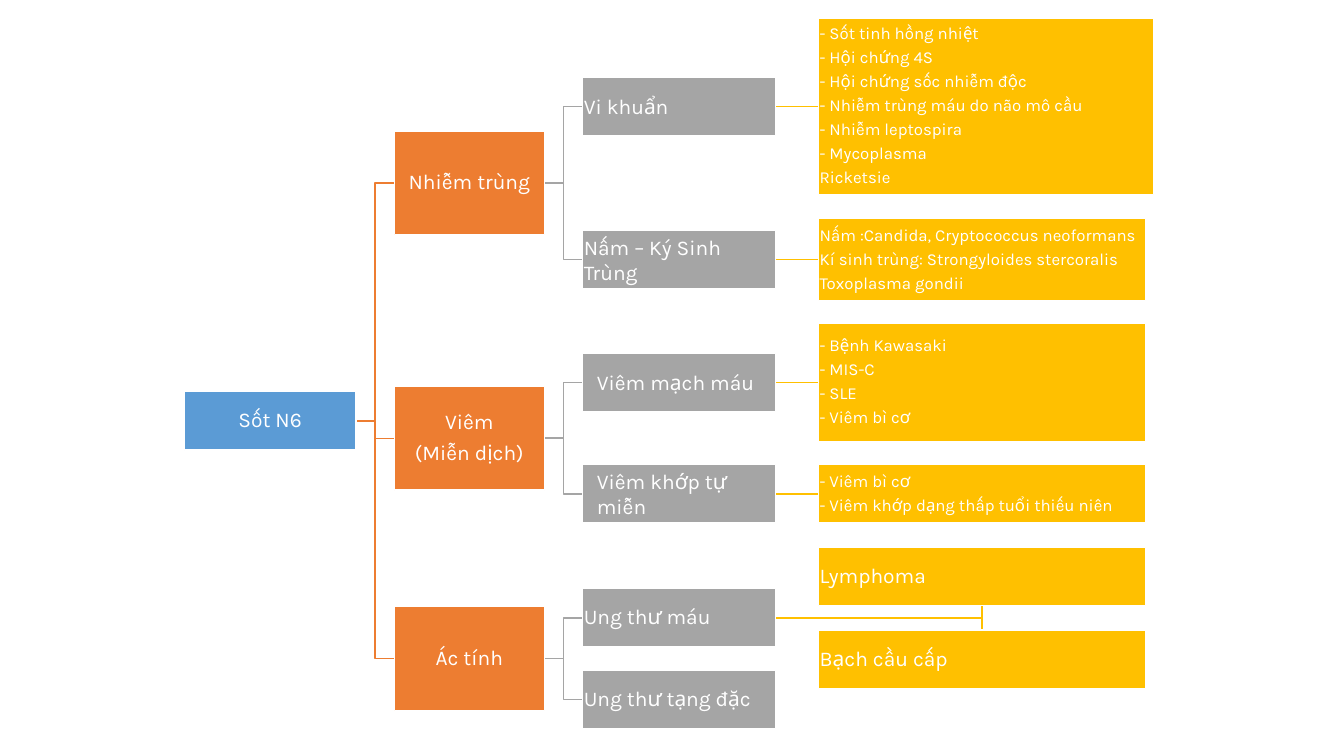
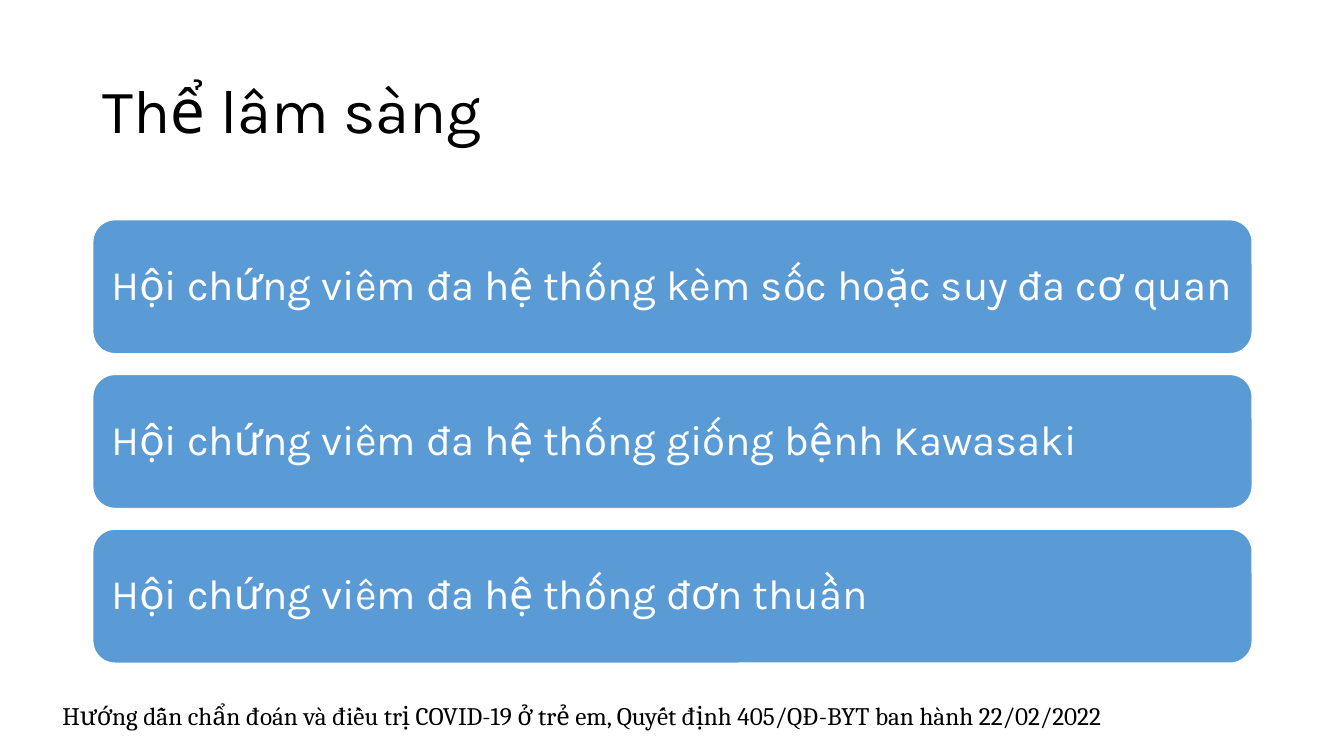
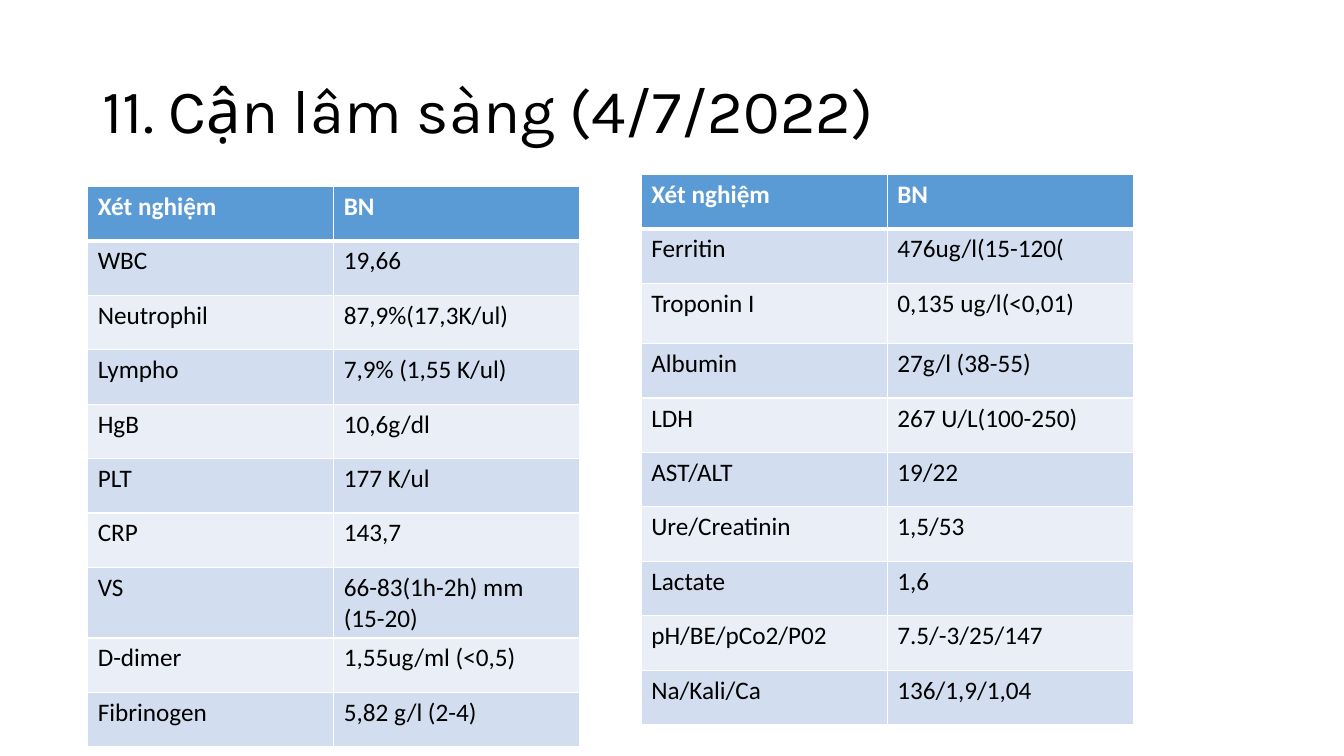
from dataclasses import dataclass, field

from lxml.etree import SubElement
from pptx import Presentation
from pptx.dml.color import RGBColor
from pptx.enum.shapes import MSO_CONNECTOR, MSO_SHAPE
from pptx.enum.text import MSO_ANCHOR, PP_ALIGN
from pptx.oxml import parse_xml
from pptx.oxml.ns import nsdecls, qn
from pptx.util import Emu, Pt

EMU_PER_PX = 9144  # 100 px to the inch


@dataclass(frozen=True)
class Theme:
    white: str = "FFFFFF"
    black: str = "000000"
    blue: str = "5B9BD5"
    levels: tuple = ("5B9BD5", "ED7D31", "A5A5A5", "FFC000")
    bands: tuple = ("D2DEEF", "EAEFF7")
    heading_font: str = "Karla"
    table_font: str = "Calibri"
    source_font: str = "Cambria"
    title_size: int = 44
    card_size: int = 30
    body_size: int = 18
    node_size: int = 15
    detail_size: int = 12


THEME = Theme()

# Tree columns: left edge, width and usual height of each level
COLUMNS = ((183, 170, 58), (391, 149, 103), (578, 191, 58), (812, 324, 58))


@dataclass
class Node:
    lines: list
    children: list = field(default_factory=list)
    top: int = 0  # set on nodes without children
    height: int = 0
    width: int = 0
    indent: int = 0
    size: int = THEME.node_size
    tight: bool = True
    stacked: bool = False  # children one above the other, joined by one stem


def detail(top, height, *lines, **options):
    return Node(list(lines), top=top, height=height, size=THEME.detail_size, **options)


FEVER_TREE = Node(["Sốt N6"], [
    Node(["Nhiễm trùng"], [
        Node(["Vi khuẩn"], [
            detail(18, 175, "- Sốt tinh hồng nhiệt", "- Hội chứng 4S",
                   "- Hội chứng sốc nhiễm độc", "- Nhiễm trùng máu do não mô cầu",
                   "- Nhiễm leptospira", "- Mycoplasma", "Ricketsie", width=332),
        ], tight=False),
        Node(["Nấm – Ký Sinh Trùng"], [
            detail(217, 81, "Nấm :Candida, Cryptococcus neoformans",
                   "Kí sinh trùng: Strongyloides stercoralis", "Toxoplasma gondii"),
        ], tight=False),
    ]),
    Node(["Viêm", "(Miễn dịch)"], [
        Node(["Viêm mạch máu"], [
            detail(321, 117, "- Bệnh Kawasaki", "- MIS-C", "- SLE", "- Viêm bì cơ"),
        ], indent=13, tight=False),
        Node(["Viêm khớp tự miễn"], [
            detail(461, 58, "- Viêm bì cơ", "- Viêm khớp dạng thấp tuổi thiếu niên"),
        ], indent=13, tight=False),
    ]),
    Node(["Ác tính"], [
        Node(["Ung thư máu"], [
            Node(["Lymphoma"], top=543),
            Node(["Bạch cầu cấp"], top=625),
        ], stacked=True),
        Node(["Ung thư tạng đặc"], top=665),
    ]),
])

CLINICAL_FORMS = (
    "Hội chứng viêm đa hệ thống kèm sốc hoặc suy đa cơ quan",
    "Hội chứng viêm đa hệ thống giống bệnh Kawasaki",
    "Hội chứng viêm đa hệ thống đơn thuần",
)
GUIDELINE = ("Hướng dẫn chẩn đoán và điều trị COVID-19 ở trẻ em, "
             "Quyết định 405/QĐ-BYT ban hành 22/02/2022")

LAB_HEADER = ("Xét nghiệm", "BN")
BLOOD_TESTS = (
    LAB_HEADER,
    ("WBC", "19,66"),
    ("Neutrophil", "87,9%(17,3K/ul)"),
    ("Lympho", "7,9% (1,55 K/ul)"),
    ("HgB", "10,6g/dl"),
    ("PLT", "177 K/ul"),
    ("CRP", "143,7"),
    ("VS", "66-83(1h-2h) mm (15-20)"),
    ("D-dimer", "1,55ug/ml (<0,5)"),
    ("Fibrinogen", "5,82 g/l (2-4)"),
)
CHEMISTRY_TESTS = (
    LAB_HEADER,
    ("Ferritin", "476ug/l(15-120("),
    ("Troponin I", "0,135 ug/l(<0,01)"),
    ("Albumin", "27g/l (38-55)"),
    ("LDH", "267 U/L(100-250)"),
    ("AST/ALT", "19/22"),
    ("Ure/Creatinin", "1,5/53"),
    ("Lactate", "1,6"),
    ("pH/BE/pCo2/P02", "7.5/-3/25/147"),
    ("Na/Kali/Ca", "136/1,9/1,04"),
)


def px(length):
    return Emu(round(length * EMU_PER_PX))


def rgb(color):
    return RGBColor.from_string(color)


# Text
def write_text(text_frame, lines, *, size, color=THEME.black, font=THEME.heading_font,
               bold=False, align=PP_ALIGN.LEFT, line_spacing=1.0, space_after=0.0, indent=0):
    """Write one paragraph a line; space_after is a share of the type size."""
    for index, line in enumerate(lines):
        paragraph = text_frame.add_paragraph() if index else text_frame.paragraphs[0]
        paragraph.alignment = align
        paragraph.line_spacing = line_spacing
        paragraph.space_after = Pt(space_after * size)
        if indent:
            paragraph._p.get_or_add_pPr().set("marL", str(px(indent)))
        run = paragraph.add_run()
        run.text = line
        run.font.size = Pt(size)
        run.font.name = font
        run.font.bold = bold
        run.font.color.rgb = rgb(color)


def set_frame(text_frame, anchor=MSO_ANCHOR.MIDDLE, margin=None):
    text_frame.word_wrap = True
    text_frame.vertical_anchor = anchor
    if margin is not None:
        text_frame.margin_left = text_frame.margin_right = px(margin)
        text_frame.margin_top = text_frame.margin_bottom = px(margin)


def add_text_box(slide, box, text, anchor=MSO_ANCHOR.TOP, **text_format):
    text_box = slide.shapes.add_textbox(*map(px, box))
    set_frame(text_box.text_frame, anchor)
    write_text(text_box.text_frame, [text], **text_format)


def add_title(slide, text):
    add_text_box(slide, (92, 40, 1150, 145), text, MSO_ANCHOR.MIDDLE,
                 size=THEME.title_size, line_spacing=0.9)


# Shapes and lines
def add_box(slide, kind, box, lines, fill, margin, **text_format):
    shape = slide.shapes.add_shape(kind, *map(px, box))
    shape.shadow.inherit = False
    shape.fill.solid()
    shape.fill.fore_color.rgb = rgb(fill)
    shape.line.color.rgb = rgb(THEME.white)
    shape.line.width = Pt(1)
    set_frame(shape.text_frame, margin=margin)
    write_text(shape.text_frame, lines, color=THEME.white, **text_format)


def add_line(slide, start, end, color):
    straight = start[0] == end[0] or start[1] == end[1]
    kind = MSO_CONNECTOR.STRAIGHT if straight else MSO_CONNECTOR.ELBOW
    connector = slide.shapes.add_connector(kind, *map(px, start + end))
    connector.line.color.rgb = rgb(color)
    connector.line.width = Pt(1)
    SubElement(connector._element.spPr, qn("a:effectLst"))


# Tree
def middle(node):
    """A parent sits halfway between its first and last child."""
    if node.children:
        return (middle(node.children[0]) + middle(node.children[-1])) / 2
    return node.top + (node.height or 58) / 2


def add_branches(slide, node, level=0):
    if not node.children:
        return
    left, width, _ = COLUMNS[level]
    child_left, child_width, child_height = COLUMNS[level + 1]
    color = THEME.levels[level + 1]
    start = (left + width, middle(node))
    if node.stacked:
        stem = child_left + child_width / 2
        first, last = node.children[0], node.children[-1]
        add_line(slide, start, (stem, start[1]), color)
        add_line(slide, (stem, first.top + child_height), (stem, last.top), color)
    for child in node.children:
        if not node.stacked:
            add_line(slide, start, (child_left, middle(child)), color)
        add_branches(slide, child, level + 1)


def add_nodes(slide, node, level=0):
    left, width, height = COLUMNS[level]
    height = node.height or height
    box = (left, middle(node) - height / 2, node.width or width, height)
    add_box(slide, MSO_SHAPE.RECTANGLE, box, node.lines, THEME.levels[level], 1,
            size=node.size, indent=node.indent,
            align=PP_ALIGN.CENTER if level < 2 else PP_ALIGN.LEFT,
            line_spacing=0.9 if node.tight else 1.0,
            space_after=0.35 if node.tight else 0)
    for child in node.children:
        add_nodes(slide, child, level + 1)


# Table
def set_borders(cell, **widths):
    properties = cell._tc.get_or_add_tcPr()
    for index, side in enumerate("LRTB"):
        width = Pt(widths.get(side, 1))
        properties.insert(index, parse_xml(
            f'<a:ln{side} {nsdecls("a")} w="{width}"><a:solidFill>'
            f'<a:srgbClr val="{THEME.white}"/></a:solidFill></a:ln{side}>'))


def add_lab_table(slide, left, top, rows, row_heights):
    column_width = 244
    frame = slide.shapes.add_table(len(rows), 2, px(left), px(top),
                                   px(2 * column_width), px(sum(row_heights)))
    table = frame.table
    for column in table.columns:
        column.width = px(column_width)
    for row_index, values in enumerate(rows):
        header = row_index == 0
        table.rows[row_index].height = px(row_heights[row_index])
        for column_index, value in enumerate(values):
            cell = table.cell(row_index, column_index)
            cell.fill.solid()
            fill = THEME.blue if header else THEME.bands[(row_index - 1) % 2]
            cell.fill.fore_color.rgb = rgb(fill)
            set_borders(cell, B=3 if header else 1, T=3 if row_index == 1 else 1)
            write_text(cell.text_frame, [value], size=THEME.body_size,
                       font=THEME.table_font, bold=header,
                       color=THEME.white if header else THEME.black)


# Slides
def build_fever_tree(slide):
    add_branches(slide, FEVER_TREE)
    add_nodes(slide, FEVER_TREE)


def build_clinical_forms(slide):
    add_title(slide, "Thể lâm sàng")
    card_top, card_height, card_pitch = 218, 133, 153.5
    for index, form in enumerate(CLINICAL_FORMS):
        box = (92, card_top + index * card_pitch, 1150, card_height)
        add_box(slide, MSO_SHAPE.ROUNDED_RECTANGLE, box, [form], THEME.blue, 12,
                size=THEME.card_size, line_spacing=0.9, space_after=0.35)
    add_text_box(slide, (52, 690, 1075, 40), GUIDELINE,
                 size=THEME.body_size, font=THEME.source_font)


def build_lab_results(slide):
    add_title(slide, "11. Cận lâm sàng (4/7/2022)")
    add_lab_table(slide, 87, 185, BLOOD_TESTS, [54] * 10)
    add_lab_table(slide, 636, 173, CHEMISTRY_TESTS, [54] * 2 + [60] + [54] * 7)


def main():
    presentation = Presentation()
    presentation.slide_width = px(1333)
    presentation.slide_height = px(750)
    blank_layout = presentation.slide_layouts[6]
    for build in (build_fever_tree, build_clinical_forms, build_lab_results):
        build(presentation.slides.add_slide(blank_layout))
    presentation.save("out.pptx")


if __name__ == "__main__":
    main()
